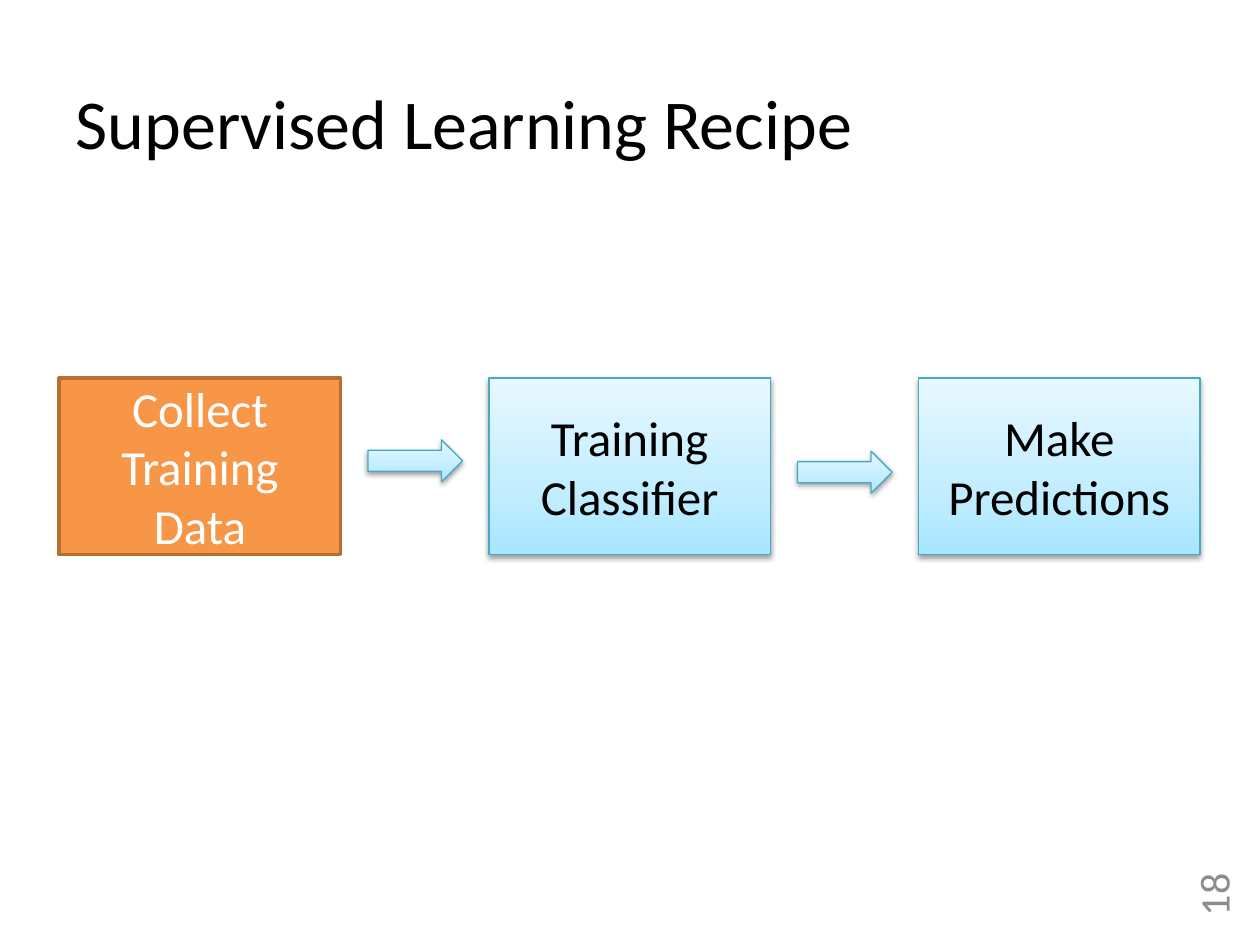
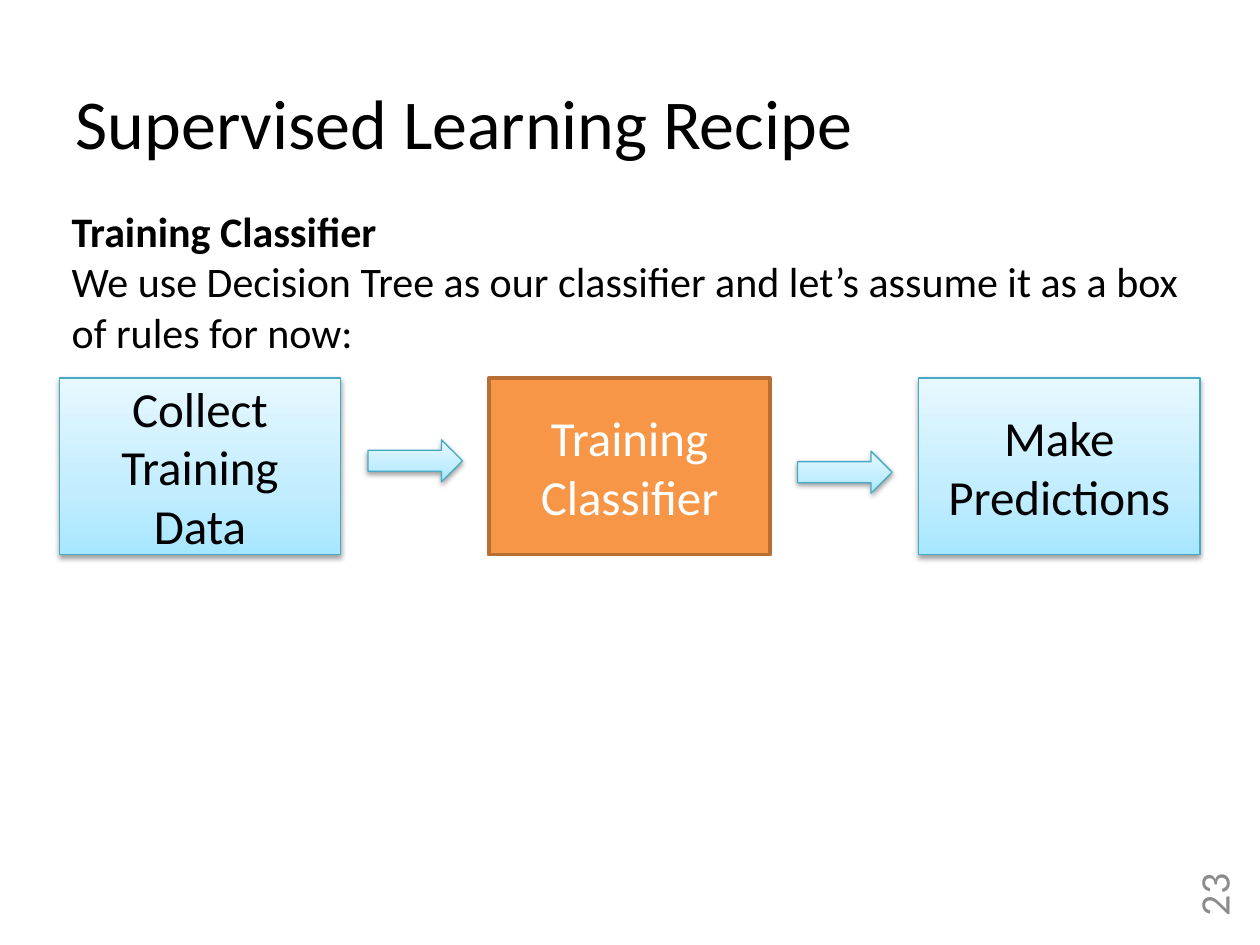
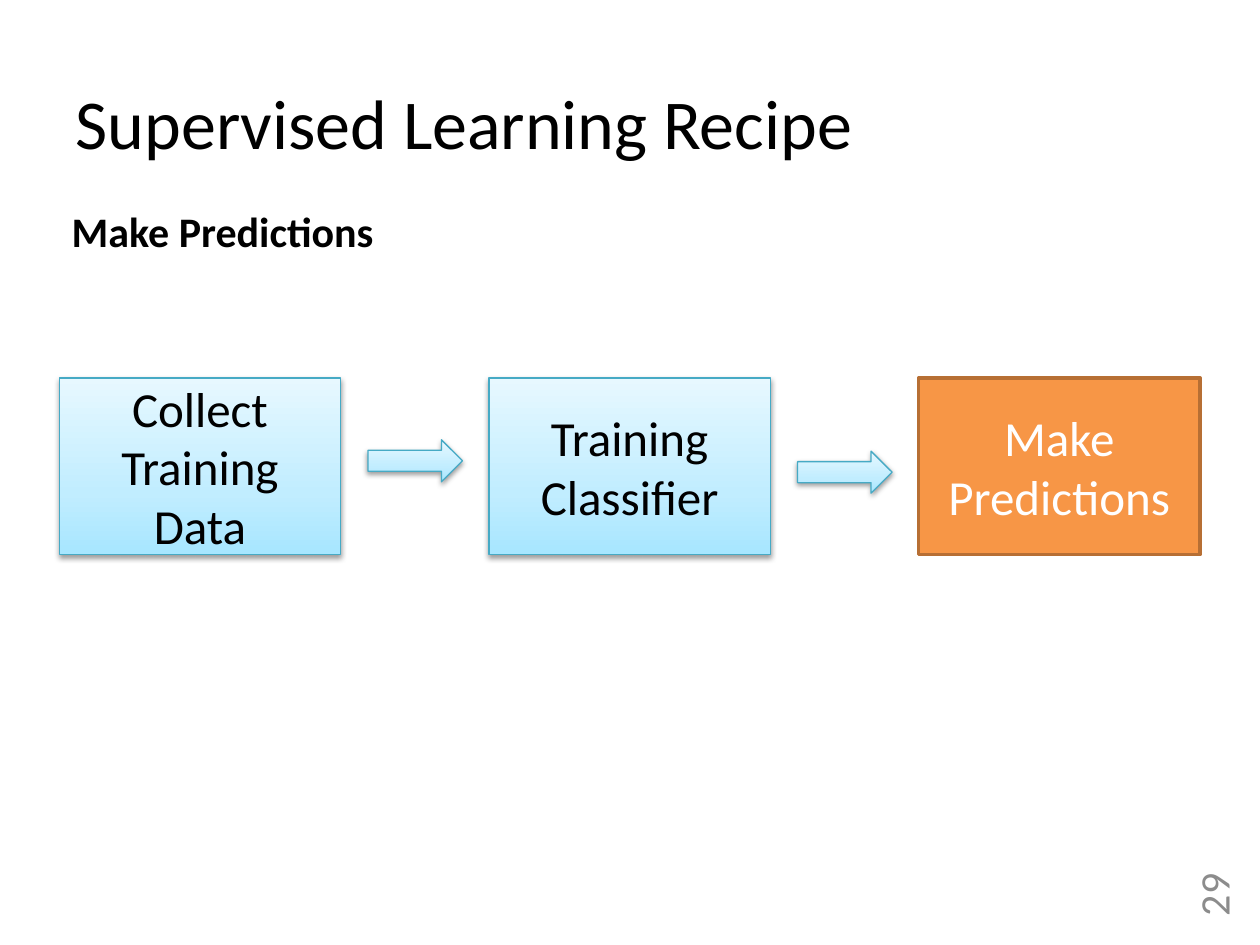
from dataclasses import dataclass

from lxml.etree import SubElement
from pptx import Presentation
from pptx.dml.color import RGBColor as RGB
from pptx.enum.shapes import MSO_SHAPE as SHAPE
from pptx.enum.text import MSO_ANCHOR as ANCHOR, MSO_AUTO_SIZE as AUTO_SIZE, PP_ALIGN as ALIGN
from pptx.oxml.ns import qn
from pptx.shapes.autoshape import Shape
from pptx.slide import Slide
from pptx.text.text import TextFrame
from pptx.util import Pt


@dataclass(frozen=True)
class Theme:
    font: str = "Calibri"
    ink: str = "000000"
    number: str = "8C8C8C"
    active_fill: str = "F79646"
    active_line: str = "B76F34"
    active_ink: str = "FFFFFF"
    line: str = "46AAC5"
    gradient: tuple[tuple[int, str], ...] = ((0, "A7E6FF"), (35, "C1EDFF"), (100, "E7F8FF"))
    shadow: str = "000000"
    shadow_alpha: int = 38
    title_size: float = 40
    step_size: float = 28
    body_size: float = 24


@dataclass(frozen=True)
class Box:
    left: float
    top: float
    width: float
    height: float

    def lengths(self) -> tuple[Pt, ...]:
        return Pt(self.left), Pt(self.top), Pt(self.width), Pt(self.height)


@dataclass(frozen=True)
class RecipeSlide:
    number: int
    active: int
    note: tuple[str, ...] = ()
    note_height: float = 0


THEME = Theme()
TITLE = "Supervised Learning Recipe"
STEPS = ("Collect Training Data", "Training Classifier", "Make Predictions")
STEP_LEFT, STEP_PITCH = 33.84, 245.52
ARROW_LEFT = 210.24
ARROW_TOPS = (251.3, 257.8)
TITLE_BOX = Box(36, 41.76, 653.76, 55.44)
NUMBER_BOX = Box(668.88, 501.12, 48.24, 30.24)

SLIDES = (
    RecipeSlide(18, 0),
    RecipeSlide(23, 1, (
        "Training Classifier",
        "We use Decision Tree as our classifier and let’s assume it as a box of rules for now:",
    ), 94.32),
    RecipeSlide(29, 2, ("Make Predictions",), 36),
)


def format_text(tf: TextFrame, size: float, color: str, align: ALIGN = ALIGN.LEFT,
                anchor: ANCHOR = ANCHOR.TOP) -> None:
    tf.word_wrap = True
    tf.vertical_anchor = anchor
    for p in tf.paragraphs:
        p.alignment = align
        for r in p.runs:
            r.font.name = THEME.font
            r.font.size = Pt(size)
            r.font.color.rgb = RGB.from_string(color)


def add_text(s: Slide, box: Box, text: str) -> Shape:
    sp = s.shapes.add_textbox(*box.lengths())
    sp.text_frame.text = text
    return sp


def set_line(sp: Shape, color: str, width: float) -> None:
    sp.line.color.rgb = RGB.from_string(color)
    sp.line.width = Pt(width)


def style_idle(sp: Shape) -> None:
    sp.fill.gradient()
    sp.fill.gradient_angle = 90
    stops = next(sp.element.spPr.iter(qn("a:gsLst")))
    for stop in list(stops):
        stops.remove(stop)
    for position, color in THEME.gradient:
        stop = SubElement(stops, qn("a:gs"), pos=str(position * 1000))
        SubElement(stop, qn("a:srgbClr"), val=color)
    set_line(sp, THEME.line, 0.75)
    effects = sp.element.spPr.find(qn("a:effectLst"))
    shadow = SubElement(effects, qn("a:outerShdw"), blurRad=str(int(Pt(3.1))),
                        dist=str(int(Pt(1.6))), dir=str(90 * 60000), rotWithShape="0")
    color = SubElement(shadow, qn("a:srgbClr"), val=THEME.shadow)
    SubElement(color, qn("a:alpha"), val=str(THEME.shadow_alpha * 1000))


def style_active(sp: Shape) -> None:
    sp.fill.solid()
    sp.fill.fore_color.rgb = RGB.from_string(THEME.active_fill)
    set_line(sp, THEME.active_line, 2)


def add_block(s: Slide, kind: SHAPE, box: Box, active: bool = False) -> Shape:
    sp = s.shapes.add_shape(kind, *box.lengths())
    sp.shadow.inherit = False
    if active:
        style_active(sp)
    else:
        style_idle(sp)
    return sp


def add_steps(s: Slide, active: int) -> None:
    for i, top in enumerate(ARROW_TOPS):
        add_block(s, SHAPE.RIGHT_ARROW, Box(ARROW_LEFT + i * STEP_PITCH, top, 54, 24))
    for i, label in enumerate(STEPS):
        box = Box(STEP_LEFT + i * STEP_PITCH, 216, 160.8, 101)
        sp = add_block(s, SHAPE.RECTANGLE, box, i == active)
        sp.text_frame.text = label
        color = THEME.active_ink if i == active else THEME.ink
        format_text(sp.text_frame, THEME.step_size, color, ALIGN.CENTER, ANCHOR.MIDDLE)


def add_title(s: Slide) -> None:
    sp = s.shapes.title
    sp.left, sp.top, sp.width, sp.height = TITLE_BOX.lengths()
    tf = sp.text_frame
    tf.text = TITLE
    tf.auto_size = AUTO_SIZE.SHAPE_TO_FIT_TEXT
    format_text(tf, THEME.title_size, THEME.ink)


def add_number(s: Slide, number: int) -> None:
    sp = add_text(s, NUMBER_BOX, str(number))
    sp.rotation = 270
    format_text(sp.text_frame, THEME.body_size, THEME.number, ALIGN.RIGHT, ANCHOR.MIDDLE)


def add_note(s: Slide, lines: tuple[str, ...], height: float) -> None:
    sp = add_text(s, Box(STEP_LEFT, 113.76, 653.76, height), "\n".join(lines))
    tf = sp.text_frame
    format_text(tf, THEME.body_size, THEME.ink)
    tf.auto_size = AUTO_SIZE.SHAPE_TO_FIT_TEXT
    tf.paragraphs[0].runs[0].font.bold = True


def main() -> None:
    prs = Presentation()
    prs.slide_width, prs.slide_height = Pt(720), Pt(540)
    title_only = prs.slide_layouts.get_by_name("Title Only")
    for recipe in SLIDES:
        s = prs.slides.add_slide(title_only)
        add_number(s, recipe.number)
        add_title(s)
        add_steps(s, recipe.active)
        if recipe.note:
            add_note(s, recipe.note, recipe.note_height)
    prs.save("out.pptx")


if __name__ == "__main__":
    main()
